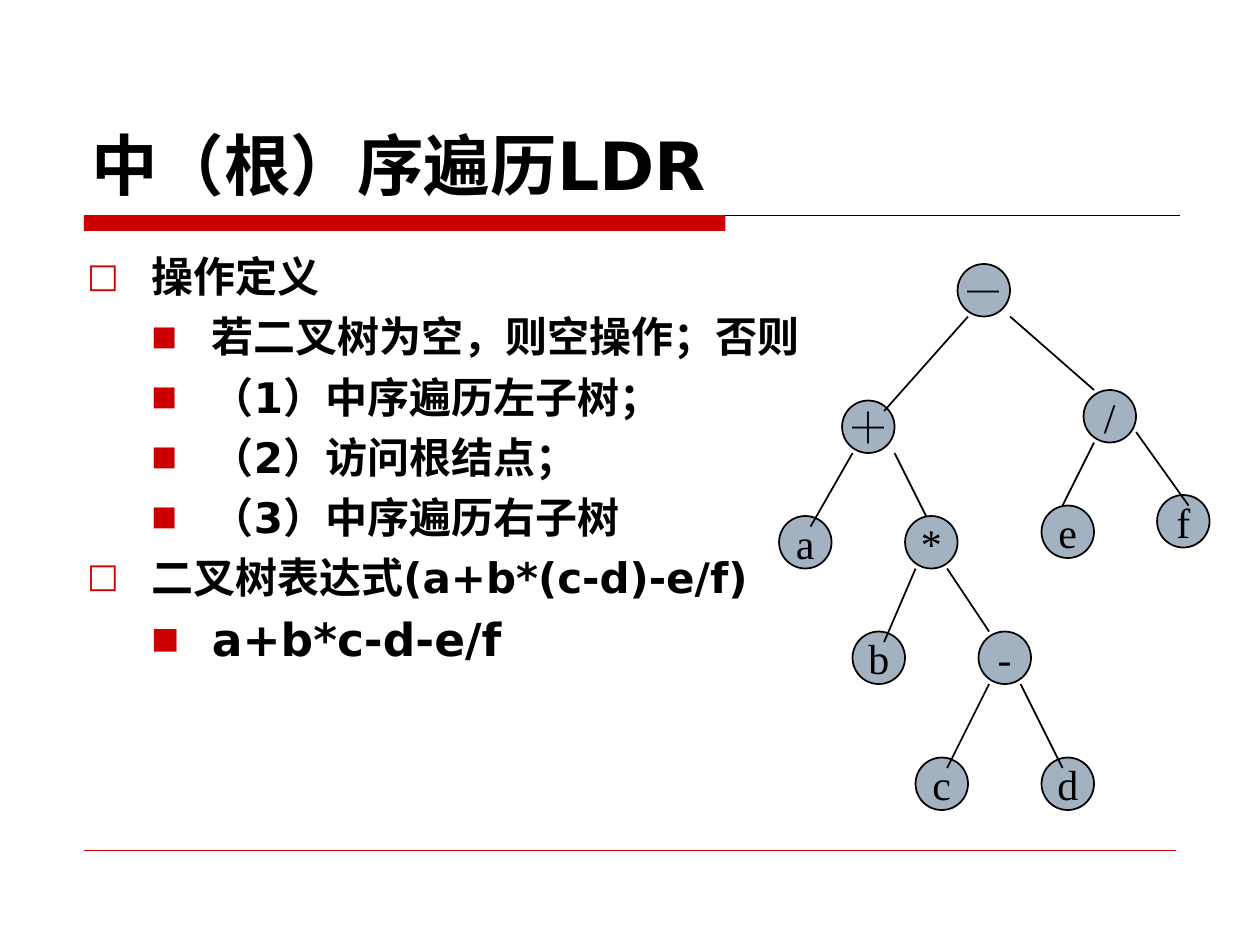
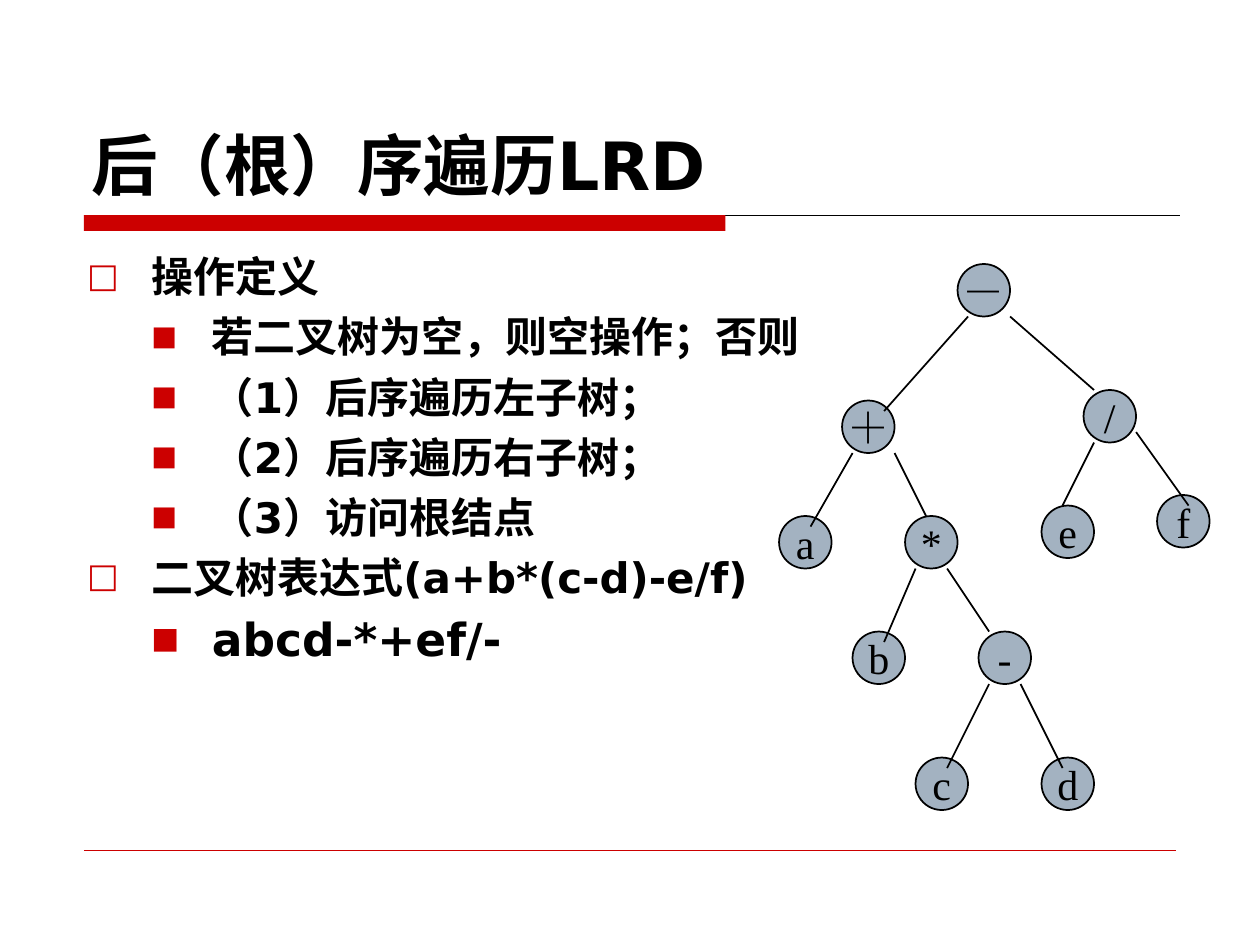
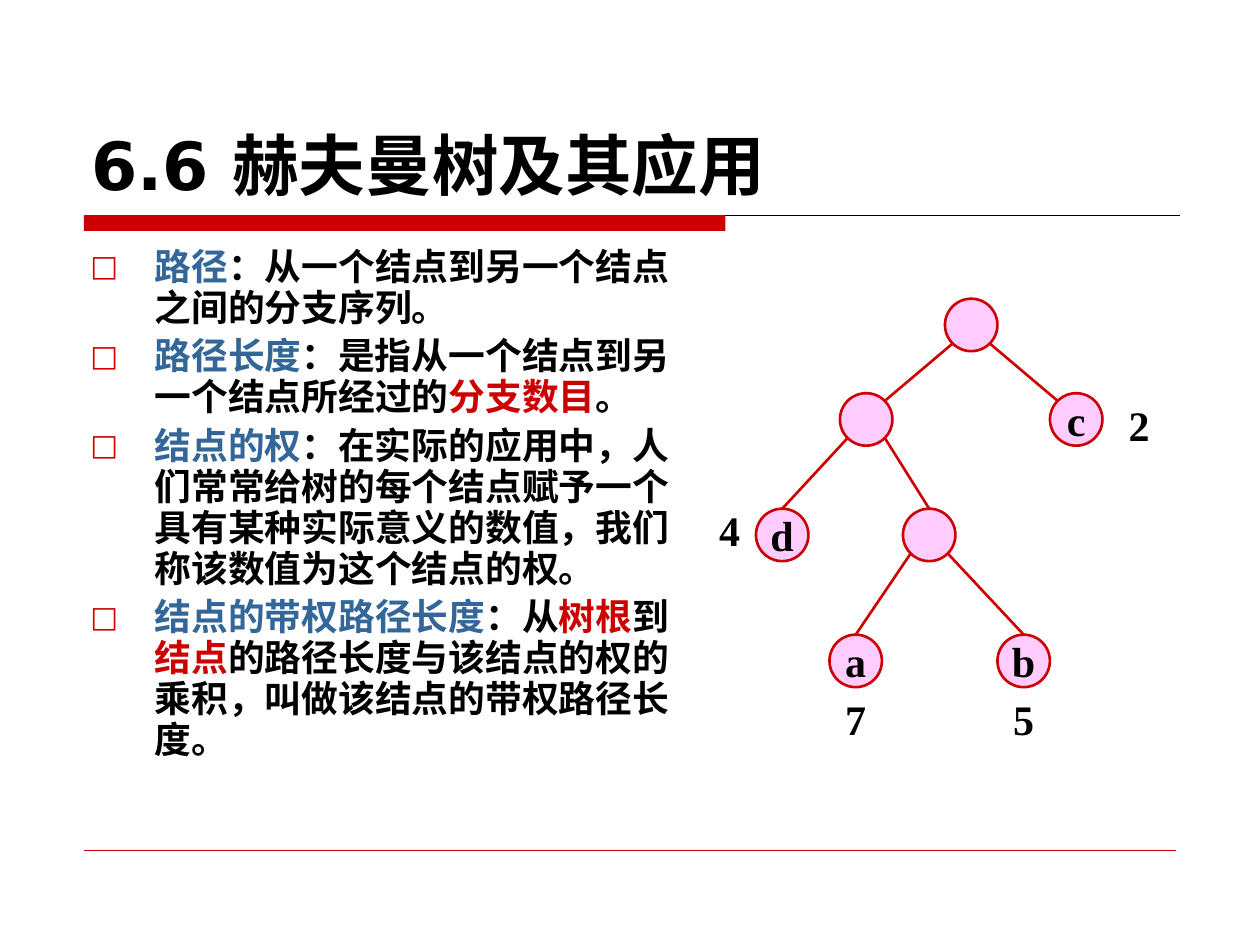
from dataclasses import dataclass
from lxml.etree import SubElement
from pptx import Presentation
from pptx.dml.color import RGBColor
from pptx.enum.lang import MSO_LANGUAGE_ID
from pptx.enum.shapes import MSO_CONNECTOR, MSO_SHAPE
from pptx.enum.text import MSO_ANCHOR, MSO_AUTO_SIZE, PP_ALIGN
from pptx.oxml.ns import qn
from pptx.util import Inches, Pt


@dataclass(frozen=True)
class Theme:
    red: str = "CC0000"
    black: str = "000000"
    blue: str = "336699"
    node_gray: str = "A3B2C1"
    node_pink: str = "FFCCFF"
    font: str = "DejaVu Sans"
    term_font: str = "Noto Sans CJK SC"
    node_font: str = "Times New Roman"
    title_size: float = 38
    result_size: float = 26
    list_size: float = 24
    term_size: float = 21
    node_size: float = 24


@dataclass(frozen=True)
class TreeStyle:
    fill: str
    line: str
    width: float
    bold: bool


THEME = Theme()
COLUMNS, ROWS = 120, 90
SLIDE_WIDTH, SLIDE_HEIGHT = Inches(10), Inches(7.5)
NODE = 5

TITLE_BOX = (7.5, 4, 105, 16)
LIST_BOX = (7.1, 23.3, 72.7, 56)
TERMS_BOX = (7.4, 23, 58.2, 57)
EXPRESSION_ORIGIN = (74.2, 25.15)
HUFFMAN_ORIGIN = (72, 28.45)

EXPRESSION_STYLE = TreeStyle(THEME.node_gray, THEME.black, 1, False)
HUFFMAN_STYLE = TreeStyle(THEME.node_pink, THEME.red, 1.5, True)

EXPRESSION_NODES = {
    "root": ("－", 17, 0), "plus": ("＋", 6, 13), "times": ("*", 12, 24),
    "a": ("a", 0, 24), "divide": ("/", 29, 12), "b": ("b", 7, 35),
    "minus": ("-", 19, 35), "d": ("d", 25, 47), "c": ("c", 13, 47),
    "f": ("f", 36, 22), "e": ("e", 25, 23),
}
EXPRESSION_EDGES = [
    ("root", (1, 5), "plus", (4, 1)), ("plus", (1, 5), "a", (3, 1)),
    ("plus", (5, 5), "times", (2, 0)), ("times", (1, 5), "b", (3, 1)),
    ("times", (4, 5), "minus", (1, 0)), ("minus", (4, 5), "d", (2, 1)),
    ("minus", (1, 5), "c", (3, 1)), ("root", (5, 5), "divide", (1, 0)),
    ("divide", (1, 5), "e", (2, 0)), ("divide", (5, 4), "f", (3, 1)),
]

TOP = (2.5, 0)
TOP_LEFT, TOP_RIGHT = (0.73, 0.73), (4.27, 0.73)
BOTTOM_LEFT, BOTTOM_RIGHT = (0.73, 4.27), (4.27, 4.27)
HUFFMAN_NODES = {
    "root": ("", 18, 0), "left": ("", 8, 9), "d": ("d", 0, 20),
    "inner": ("", 14, 20), "c": ("c", 28, 9),
    "a": ("a", 7, 32), "b": ("b", 23, 32),
}
HUFFMAN_EDGES = [
    ("root", BOTTOM_LEFT, "left", TOP_RIGHT), ("left", BOTTOM_LEFT, "d", TOP),
    ("left", BOTTOM_RIGHT, "inner", TOP), ("root", BOTTOM_RIGHT, "c", TOP_LEFT),
    ("inner", BOTTOM_LEFT, "a", TOP), ("inner", BOTTOM_RIGHT, "b", TOP),
]
WEIGHTS = [("2", 34, 9), ("4", -5, 19), ("7", 7, 37), ("5", 23, 37)]

TRAVERSALS = [
    ("中（根）序遍历LDR",
     ["（1）中序遍历左子树；", "（2）访问根结点；", "（3）中序遍历右子树"],
     "a+b*c-d-e/f"),
    ("后（根）序遍历LRD",
     ["（1）后序遍历左子树；", "（2）后序遍历右子树；", "（3）访问根结点"],
     "abcd-*+ef/-"),
]
TERMS = [
    [("路径", THEME.blue), ("：从一个结点到另一个结点之间的分支序列。", THEME.black)],
    [("路径长度", THEME.blue), ("：是指从一个结点到另一个结点所经过的", THEME.black),
     ("分支数目", THEME.red), ("。", THEME.black)],
    [("结点的权", THEME.blue),
     ("：在实际的应用中，人们常常给树的每个结点赋予一个具有某种实际意义的数值，"
      "我们称该数值为这个结点的权。", THEME.black)],
    [("结点的带权路径长度", THEME.blue), ("：从", THEME.black), ("树根", THEME.red),
     ("到", THEME.black), ("结点", THEME.red),
     ("的路径长度与该结点的权的乘积，叫做该结点的带权路径长度。", THEME.black)],
]


def across(columns):
    return round(SLIDE_WIDTH * columns / COLUMNS)


def down(rows):
    return round(SLIDE_HEIGHT * rows / ROWS)


def place(box):
    left, top, width, height = box
    return across(left), down(top), across(width), down(height)


def move(shape, box):
    shape.left, shape.top, shape.width, shape.height = place(box)


def add_text(paragraph, text, *, size, font=THEME.font, east_asian=None,
             color=THEME.black, bold=True):
    run = paragraph.add_run()
    run.text = text
    run.font.size = Pt(size)
    run.font.bold = bold
    run.font.color.rgb = RGBColor.from_string(color)
    run.font.language_id = MSO_LANGUAGE_ID.SIMPLIFIED_CHINESE
    run.font.name = font
    latin = run.font._element.find(qn("a:latin"))
    latin.addnext(latin.makeelement(qn("a:ea"), {"typeface": east_asian or font}))


def add_bullet(paragraph, level):
    character, percent, indent, hanging = [
        ("□", 80, 0.51, 0.51), ("■", 65, 0.99, 0.48)][level]
    paragraph.level = level
    properties = paragraph._p.get_or_add_pPr()
    properties.set("marL", str(Inches(indent)))
    properties.set("indent", str(-Inches(hanging)))
    color = SubElement(properties, qn("a:buClr"))
    SubElement(color, qn("a:srgbClr"), val=THEME.red)
    SubElement(properties, qn("a:buSzPct"), val=str(percent * 1000))
    SubElement(properties, qn("a:buFont"), typeface=THEME.font)
    SubElement(properties, qn("a:buChar"), char=character)


def add_list_item(frame, index, level, *, space, spacing=1.0):
    paragraph = frame.add_paragraph() if index else frame.paragraphs[0]
    add_bullet(paragraph, level)
    paragraph.alignment = PP_ALIGN.LEFT
    paragraph.line_spacing = spacing
    paragraph.space_before = Pt(space if index else 0)
    return paragraph


def add_line(shapes, start, end, *, color, width):
    line = shapes.add_connector(MSO_CONNECTOR.STRAIGHT, across(start[0]), down(start[1]),
                                across(end[0]), down(end[1]))
    line.line.color.rgb = RGBColor.from_string(color)
    line.line.width = Pt(width)
    SubElement(line._element.spPr, qn("a:effectLst"))
    return line


def decorate_layout(layout, slide):
    rule = add_line(slide.shapes, (8, 20.5), (112.4, 20.5), color=THEME.black, width=0.75)
    band = slide.shapes.add_shape(MSO_SHAPE.RECTANGLE, *place((8, 20.5, 61.1, 1.5)))
    band.shadow.inherit = False
    band.fill.solid()
    band.fill.fore_color.rgb = RGBColor.from_string(THEME.red)
    band.line.fill.background()
    footer = add_line(slide.shapes, (8, 81), (112, 81), color=THEME.red, width=0.25)
    for part in (rule, band, footer):
        layout.shapes.element.append(part._element)


def fill_title(slide, text):
    title = slide.shapes.title
    move(title, TITLE_BOX)
    frame = title.text_frame
    frame.auto_size = MSO_AUTO_SIZE.NONE
    frame.vertical_anchor = MSO_ANCHOR.BOTTOM
    frame.paragraphs[0].alignment = PP_ALIGN.LEFT
    add_text(frame.paragraphs[0], text, size=THEME.title_size)


def open_body(slide, box):
    body = slide.placeholders[1]
    move(body, box)
    body.text_frame.auto_size = MSO_AUTO_SIZE.NONE
    return body.text_frame


def fill_traversal_list(slide, box, steps, result):
    frame = open_body(slide, box)
    items = [(0, "操作定义"), (1, "若二叉树为空，则空操作；否则"),
             *((1, step) for step in steps),
             (0, "二叉树表达式(a+b*(c-d)-e/f)"), (1, result)]
    for index, (level, text) in enumerate(items):
        paragraph = add_list_item(frame, index, level, space=5.5)
        size = THEME.result_size if text == result else THEME.list_size
        add_text(paragraph, text, size=size)


def fill_terms(slide, box):
    frame = open_body(slide, box)
    for index, parts in enumerate(TERMS):
        paragraph = add_list_item(frame, index, 0, space=4.2, spacing=0.93)
        for text, color in parts:
            add_text(paragraph, text, size=THEME.term_size, font=THEME.term_font,
                     east_asian=THEME.font, color=color)


def draw_tree(shapes, origin, nodes, edges, style):
    left, top = origin
    for text, column, row in nodes.values():
        node = shapes.add_shape(MSO_SHAPE.OVAL, *place((left + column, top + row, NODE, NODE)))
        node.shadow.inherit = False
        node.fill.solid()
        node.fill.fore_color.rgb = RGBColor.from_string(style.fill)
        node.line.color.rgb = RGBColor.from_string(style.line)
        node.line.width = Pt(style.width)
        if text:
            frame = node.text_frame
            frame.word_wrap = False
            frame.vertical_anchor = MSO_ANCHOR.MIDDLE
            frame.paragraphs[0].alignment = PP_ALIGN.CENTER
            add_text(frame.paragraphs[0], text, size=THEME.node_size,
                     font=THEME.node_font, bold=style.bold)

    def point(name, offset):
        column, row = nodes[name][1:]
        return left + column + offset[0], top + row + offset[1]

    for parent, leaving, child, arriving in edges:
        add_line(shapes, point(parent, leaving), point(child, arriving),
                 color=style.line, width=style.width)


def draw_weights(shapes, origin):
    left, top = origin
    for text, column, row in WEIGHTS:
        label = shapes.add_textbox(*place((left + column, top + row, NODE, 6)))
        frame = label.text_frame
        frame.word_wrap = True
        frame.paragraphs[0].alignment = PP_ALIGN.CENTER
        add_text(frame.paragraphs[0], text, size=THEME.node_size, font=THEME.node_font)


def build_traversal_slide(slide, title, steps, result):
    fill_title(slide, title)
    fill_traversal_list(slide, LIST_BOX, steps, result)
    tree = slide.shapes.add_group_shape().shapes
    draw_tree(tree, EXPRESSION_ORIGIN, EXPRESSION_NODES, EXPRESSION_EDGES, EXPRESSION_STYLE)


def build_huffman_slide(slide):
    fill_title(slide, "6.6 赫夫曼树及其应用")
    fill_terms(slide, TERMS_BOX)
    tree = slide.shapes.add_group_shape().shapes
    draw_tree(tree, HUFFMAN_ORIGIN, HUFFMAN_NODES, HUFFMAN_EDGES, HUFFMAN_STYLE)
    draw_weights(tree, HUFFMAN_ORIGIN)


def main():
    presentation = Presentation()
    presentation.slide_width, presentation.slide_height = SLIDE_WIDTH, SLIDE_HEIGHT
    layout = presentation.slide_layouts[1]
    slides = [presentation.slides.add_slide(layout) for _ in range(len(TRAVERSALS) + 1)]
    decorate_layout(layout, slides[0])
    for slide, traversal in zip(slides, TRAVERSALS):
        build_traversal_slide(slide, *traversal)
    build_huffman_slide(slides[-1])
    presentation.save("out.pptx")


if __name__ == "__main__":
    main()
